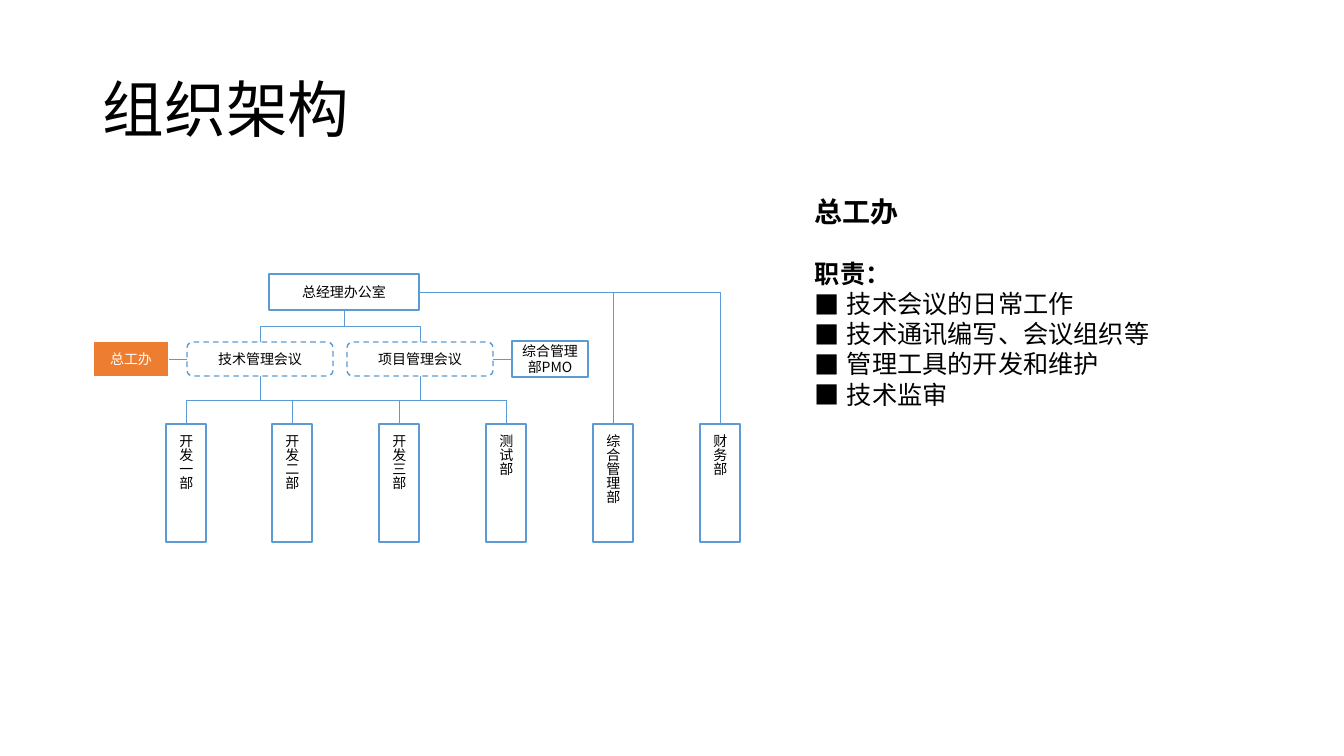
"""Build the organisation chart slide with the duties of the chief engineer's office."""
from lxml.etree import SubElement
from pptx import Presentation
from pptx.dml.color import RGBColor
from pptx.enum.dml import MSO_LINE
from pptx.enum.shapes import MSO_CONNECTOR, MSO_SHAPE
from pptx.enum.text import MSO_ANCHOR, PP_ALIGN
from pptx.oxml.ns import qn
from pptx.util import Pt

FONT = "Noto Sans CJK SC"
BLUE, ORANGE, WHITE, BLACK = "5B9BD5", "ED7D31", "FFFFFF", "000000"
TOP, LEFT, BOTTOM, RIGHT = range(4)


def px(*values):
    return [round(v * 914400 / 100.8) for v in values]


def style(p, size, color=BLACK, bold=False):
    for r in p.runs:
        r.font.name = FONT
        r.font.size = Pt(size)
        r.font.bold = bold
        r.font.color.rgb = RGBColor.from_string(color)
        SubElement(r.font._element, qn("a:ea")).set("typeface", FONT)


prs = Presentation()
prs.slide_width, prs.slide_height = px(1344, 756)
s = prs.slides.add_slide(prs.slide_layouts[6])

title = s.shapes.add_textbox(*px(93, 40, 1159, 146))
tf = title.text_frame
tf.word_wrap = True
tf.vertical_anchor = MSO_ANCHOR.MIDDLE
tf.text = "组织架构"
tf.paragraphs[0].line_spacing = 0.9
style(tf.paragraphs[0], 44)

boxes = [
    ("总经理办公室", 269, 274, 150, 36),
    ("技术管理会议", 187, 342, 146, 34),
    ("项目管理会议", 347, 342, 146, 34),
    ("总工办", 93, 341, 76, 36),
    ("综合管理部PMO", 512, 341, 76, 36),
]
departments = ["开发一部", "开发二部", "开发三部", "测试部", "综合管理部", "财务部"]
boxes += [(name, 166 + i * 534 // 5, 424, 40, 118) for i, name in enumerate(departments)]

org = []
for name, x, y, w, h in boxes:
    meeting, chief, tall = name.endswith("会议"), name == "总工办", h > w
    kind = MSO_SHAPE.ROUNDED_RECTANGLE if meeting else MSO_SHAPE.RECTANGLE
    sp = s.shapes.add_shape(kind, *px(x, y, w, h))
    sp.shadow.inherit = False
    sp.fill.solid()
    sp.fill.fore_color.rgb = RGBColor.from_string(ORANGE if chief else WHITE)
    sp.line.color.rgb = RGBColor.from_string(WHITE if chief else BLUE)
    sp.line.width = Pt(1.5 if chief else 1)
    if meeting:
        sp.line.dash_style = MSO_LINE.DASH
    tf = sp.text_frame
    tf.word_wrap = True
    tf.vertical_anchor = MSO_ANCHOR.MIDDLE
    tf.margin_left, tf.margin_right = px(10, 10) if tall else px(8, 8)
    tf.margin_top, tf.margin_bottom = px(10, 10) if tall else px(0, 0)
    tf.text = name
    p = tf.paragraphs[0]
    p.alignment = PP_ALIGN.LEFT if tall else PP_ALIGN.CENTER
    style(p, 10, WHITE if chief else BLACK)
    if tall:
        tf._txBody.bodyPr.set("vert", "eaVert")
    if name.endswith("PMO"):
        p.line_spacing = Pt(11.5)
    org.append(sp)

office, tech, project, chief_office, pmo, dev1, dev2, dev3, test, admin, finance = org
links = [
    (office, BOTTOM, tech, TOP),
    (office, BOTTOM, project, TOP),
    (tech, LEFT, chief_office, RIGHT),
    (project, RIGHT, pmo, LEFT),
    (office, RIGHT, admin, TOP),
    (office, RIGHT, finance, TOP),
    (tech, BOTTOM, dev1, TOP),
    (tech, BOTTOM, dev2, TOP),
    (tech, BOTTOM, dev3, TOP),
    (tech, BOTTOM, test, TOP),
    (project, BOTTOM, test, TOP),
]
for start, out, end, into in links:
    kind = MSO_CONNECTOR.ELBOW if into == TOP else MSO_CONNECTOR.STRAIGHT
    c = s.shapes.add_connector(kind, 0, 0, 0, 0)
    c.begin_connect(start, out)
    c.end_connect(end, into)
    c.line.color.rgb = RGBColor.from_string(BLUE)
    c.line.width = Pt(0.5)
    spPr = c._element.spPr
    SubElement(spPr, qn("a:effectLst"))
    if out == RIGHT and into == TOP:
        spPr.find(qn("a:prstGeom")).set("prst", "bentConnector2")
    elif out == BOTTOM:
        leftward = c.end_x < c.begin_x
        w, h = c.width, c.height
        c.left, c.top = c.left + (w - h) // 2, c.top + (h - w) // 2
        c.width, c.height = h, w
        xfrm = spPr.find(qn("a:xfrm"))
        xfrm.set("rot", "5400000" if leftward else "16200000")
        xfrm.set("flipH", "0" if leftward else "1")

duties = s.shapes.add_textbox(*px(805, 186, 430, 258))
tf = duties.text_frame
tf.word_wrap = True
tf.margin_top = px(8)[0]
lines = [
    ("总工办", 20, True),
    ("职责：", 18, True),
    ("技术会议的日常工作", 18, False),
    ("技术通讯编写、会议组织等", 18, False),
    ("管理工具的开发和维护", 18, False),
    ("技术监审", 18, False),
]
tf.text = "\n".join(text for text, size, heading in lines)
for p, (text, size, heading) in zip(tf.paragraphs, lines):
    p.line_spacing = Pt(size * 1.2)
    style(p, size, bold=heading)
    if text == "职责：":
        p.space_before = Pt(21.6)
    if not heading:
        pPr = p._p.get_or_add_pPr()
        indent = px(32)[0]
        pPr.set("marL", str(indent))
        pPr.set("indent", str(-indent))
        SubElement(pPr, qn("a:buFont")).set("typeface", FONT)
        SubElement(pPr, qn("a:buChar")).set("char", "■")

prs.save("out.pptx")
